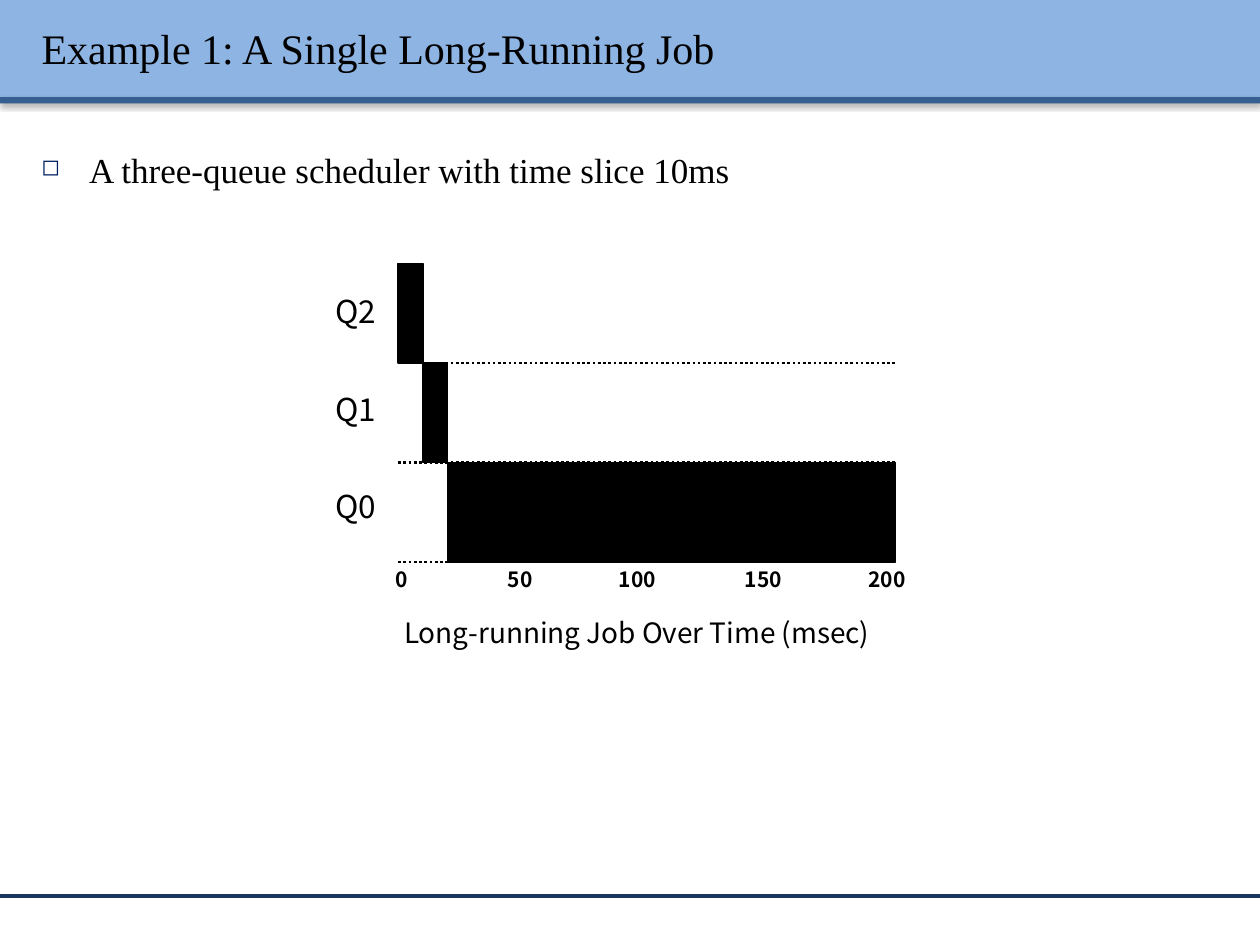
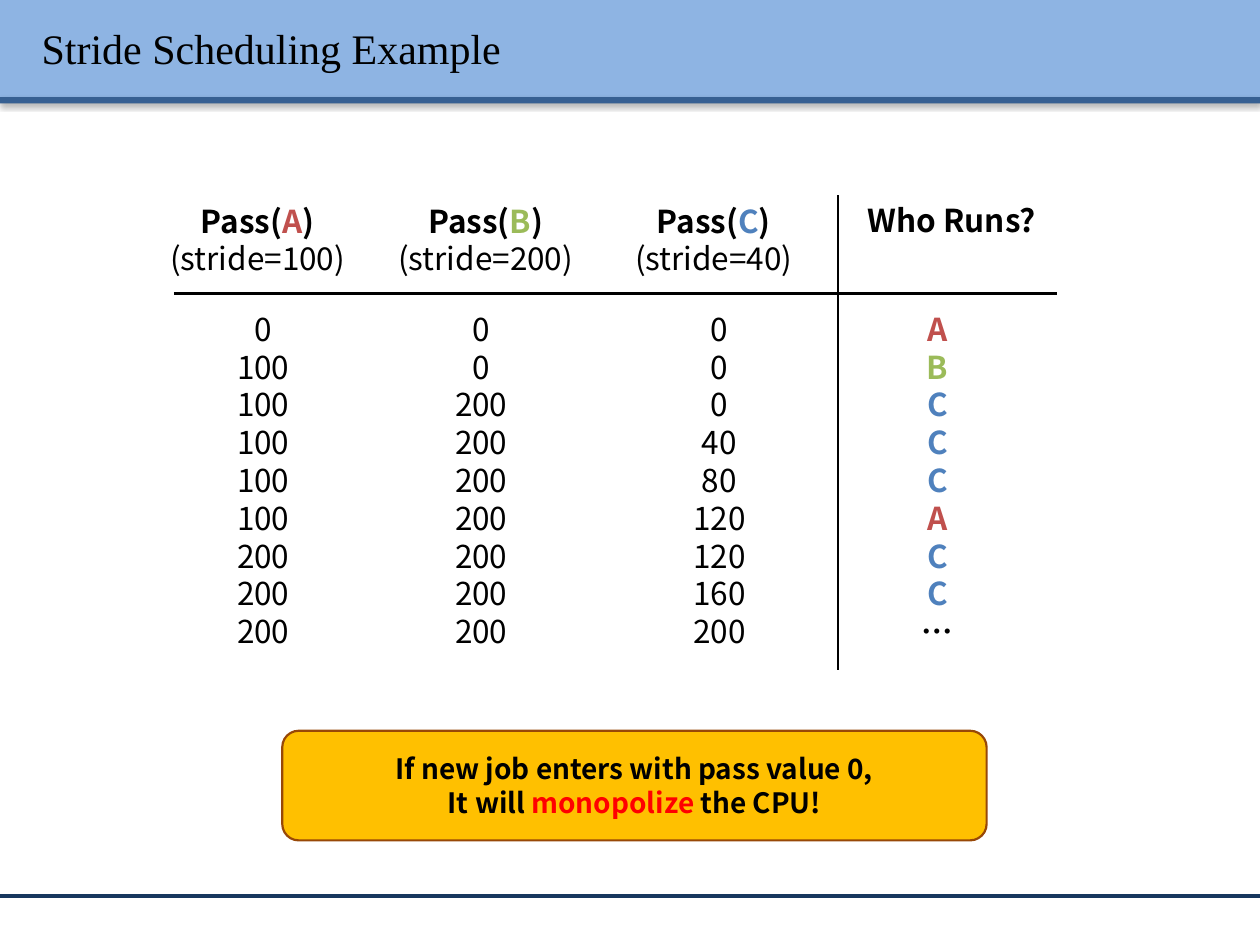
from dataclasses import dataclass

from lxml import etree
from pptx import Presentation
from pptx.dml.color import RGBColor
from pptx.enum import dml, shapes, text
from pptx.oxml import parse_xml
from pptx.oxml.ns import qn
from pptx.util import Inches, Pt

A_NS = 'xmlns:a="http://schemas.openxmlformats.org/drawingml/2006/main"'


@dataclass(frozen=True)
class Theme:
    serif: str = "Times New Roman"
    sans: str = "Noto Sans CJK KR"
    title: int = 24
    body: int = 20
    label: int = 18
    note: int = 16
    tick: int = 12
    black: str = "000000"
    band: str = "8EB4E3"
    band_edge: str = "376092"
    footer: str = "17375E"
    bullet: str = "002060"
    callout: str = "FFC000"
    callout_edge: str = "984807"
    accent: str = "FF0000"


T = Theme()
JOB_COLORS = {"A": "C0504D", "B": "9BBB59", "C": "4F81BD"}


def rgb(value):
    return RGBColor.from_string(value)


def shadow_xml(blur, dist, angle):
    return parse_xml(
        f'<a:effectLst {A_NS}><a:outerShdw blurRad="{Pt(blur)}" dist="{Pt(dist)}" '
        f'dir="{angle * 60000}" algn="tl" rotWithShape="0"><a:srgbClr val="{T.black}">'
        '<a:alpha val="38000"/></a:srgbClr></a:outerShdw></a:effectLst>')


def add_box(parent, kind, x, y, w, h, fill, edge=None, weight=0.75):
    sp = parent.add_shape(kind, Inches(x), Inches(y), Inches(w), Inches(h))
    sp.shadow.inherit = False
    sp.fill.solid()
    sp.fill.fore_color.rgb = rgb(fill)
    if edge:
        sp.line.color.rgb = rgb(edge)
        sp.line.width = Pt(weight)
    else:
        sp.line.fill.background()
    return sp


def add_line(parent, x1, y1, x2, y2, color=T.black, weight=1.5, dash=None):
    line = parent.add_connector(shapes.MSO_CONNECTOR.STRAIGHT, Inches(x1), Inches(y1),
                                Inches(x2), Inches(y2))
    line.line.color.rgb = rgb(color)
    line.line.width = Pt(weight)
    if dash:
        line.line.dash_style = dash
    etree.SubElement(line._element.spPr, qn("a:effectLst"))
    return line


def set_font(p, size, name=T.sans, bold=False, color=T.black):
    p.font.name, p.font.size, p.font.bold = name, Pt(size), bold
    p.font.color.rgb = rgb(color)


def add_runs(p, parts):
    for words, color in parts:
        r = p.add_run()
        r.text = words
        if color:
            r.font.color.rgb = rgb(color)


def fill_lines(tf, lines, size):
    for i, (parts, bold) in enumerate(lines):
        p = tf.paragraphs[0] if i == 0 else tf.add_paragraph()
        p.alignment = text.PP_ALIGN.CENTER
        set_font(p, size, bold=bold)
        add_runs(p, parts)


def add_text(parent, x, y, w, h, lines, size):
    tf = parent.add_textbox(Inches(x), Inches(y), Inches(w), Inches(h)).text_frame
    tf.word_wrap = True
    tf.auto_size = text.MSO_AUTO_SIZE.SHAPE_TO_FIT_TEXT
    fill_lines(tf, lines, size)


def plain(words, bold=False):
    return [(words, None)], bold


def move_frame_to_layout(s, layout):
    rect = shapes.MSO_SHAPE.RECTANGLE
    band = add_box(s.shapes, rect, 0, 0, 10, 0.77, T.band)
    edge = add_box(s.shapes, rect, 0, 0.77, 10, 0.05, T.band_edge)
    for sp in (band, edge):
        sp_pr = sp._element.spPr
        sp_pr.replace(sp_pr.find(qn("a:effectLst")), shadow_xml(3.1, 1.6, 90))
    rule = add_line(s.shapes, 0, 7.11, 10, 7.11, T.footer, 2)
    for i, sp in enumerate((band, edge, rule)):
        layout.shapes._spTree.insert(2 + i, sp._element)


def add_title(s, words):
    sp = s.shapes.title
    sp.left, sp.top, sp.width, sp.height = map(Inches, (0.23, 0.06, 9.61, 0.64))
    tf = sp.text_frame
    tf.vertical_anchor = text.MSO_ANCHOR.MIDDLE
    tf.word_wrap = True
    p = tf.paragraphs[0]
    p.alignment = text.PP_ALIGN.LEFT
    set_font(p, T.title, T.serif)
    r = p.add_run()
    r.text = words
    r.font.color.rgb = rgb(T.black)
    r.font.fill._xPr.find(qn("a:solidFill")).addnext(shadow_xml(3, 3, 45))


def add_bullet(s, x, y, w, h, words):
    tf = s.shapes.add_textbox(Inches(x), Inches(y), Inches(w), Inches(h)).text_frame
    tf.word_wrap = True
    p = tf.paragraphs[0]
    set_font(p, T.body, T.serif)
    p.line_spacing = 1.5
    p.space_before = Pt(4)
    p.add_run().text = words
    p_pr = p._p.get_or_add_pPr()
    p_pr.set("marL", str(Inches(0.38)))
    p_pr.set("indent", str(-Inches(0.38)))
    marks = (f'<a:buClr {A_NS}><a:srgbClr val="{T.bullet}"/></a:buClr>',
             f'<a:buSzPct {A_NS} val="65000"/>',
             f'<a:buChar {A_NS} char="◻"/>')
    for i, mark in enumerate(marks):
        p_pr.insert(2 + i, parse_xml(mark))


def add_queue_timeline(s, x, y, w, lane_h):
    per_ms = w / 200
    queues = [("Q2", 0, 10), ("Q1", 10, 20), ("Q0", 20, 200)]
    group = s.shapes.add_group_shape().shapes
    for i, (queue, start, end) in enumerate(queues):
        top = y + i * lane_h
        add_line(group, x, top + lane_h, x + w, top + lane_h,
                 dash=dml.MSO_LINE.ROUND_DOT)
        add_box(group, shapes.MSO_SHAPE.RECTANGLE, x + start * per_ms, top,
                (end - start) * per_ms, lane_h, T.black, T.black)
        add_text(group, x - 0.68, y + 0.18 + i * 0.775, 0.69, 0.4,
                 [plain(queue)], T.label)
    ticks = [("0", 0, 0.24), ("50", 0.97, 0.47), ("100", 1.9, 0.61),
             ("150", 2.9, 0.61), ("200", 3.88, 0.61)]
    for words, center, width in ticks:
        add_text(group, x + center - width / 2, y + 3 * lane_h - 0.01, width, 0.3,
                 [plain(words, True)], T.tick)
    add_text(s.shapes, x - 0.41, y + 2.75, 4.61, 0.37,
             [plain("Long-running Job Over Time (msec)")], T.note)


def add_stride_columns(s, x, y, w, h):
    rule_y, divider_x = y + 0.78, x + 5.27
    add_line(s.shapes, x, rule_y, x + w, rule_y)
    add_line(s.shapes, divider_x, y, divider_x, y + h)
    columns = [
        ("A", 100, 0.08, [0, 100, 100, 100, 100, 100, 200, 200, 200]),
        ("B", 200, 1.81, [0, 0, 200, 200, 200, 200, 200, 200, 200]),
        ("C", 40, 3.7, [0, 0, 0, 40, 80, 120, 120, 160, 200]),
    ]
    for i, (job, stride, values_x, values) in enumerate(columns):
        heading = [("Pass(", None), (job, JOB_COLORS[job]), (")", None)]
        add_text(s.shapes, x - 0.16 + i * 1.81, y, 1.65, 0.71,
                 [(heading, True), plain(f"(stride={stride})")], T.label)
        add_text(s.shapes, x + values_x, y + 0.86, 1.26, 2.83,
                 [plain(str(value)) for value in values], T.label)
    add_text(s.shapes, x + 5.35, y, 1.65, 0.4, [plain("Who Runs?", True)], T.label)
    add_text(s.shapes, x + 5.43, y + 0.86, 1.26, 2.83,
             [([(job, JOB_COLORS.get(job))], True) for job in "ABCCCACC…"], T.label)


def add_callout(s, x, y, w, h):
    sp = add_box(s.shapes, shapes.MSO_SHAPE.ROUNDED_RECTANGLE, x, y, w, h,
                 T.callout, T.callout_edge, 1.25)
    sp.adjustments[0] = 0.15
    tf = sp.text_frame
    tf.margin_left = tf.margin_right = Inches(0.12)
    tf.vertical_anchor = text.MSO_ANCHOR.MIDDLE
    tf.word_wrap = True
    warning = [("It will ", None), ("monopolize", T.accent), (" the CPU!", None)]
    fill_lines(tf, [plain("If new job enters with pass value 0,", True),
                    (warning, True)], T.note)


def main():
    prs = Presentation()
    prs.slide_width, prs.slide_height = Inches(10), Inches(7.5)
    layout = prs.slide_layouts[5]

    s = prs.slides.add_slide(layout)
    move_frame_to_layout(s, layout)
    add_title(s, "Example 1: A Single Long-Running Job")
    add_bullet(s, 0.23, 0.96, 9.61, 6.02, "A three-queue scheduler with time slice 10ms")
    add_queue_timeline(s, 3.16, 2.09, 3.95, 0.79)

    s = prs.slides.add_slide(layout)
    add_title(s, "Stride Scheduling Example")
    add_stride_columns(s, 1.38, 1.55, 7.01, 3.77)
    add_callout(s, 2.24, 5.8, 5.59, 0.87)

    prs.save("out.pptx")


if __name__ == "__main__":
    main()
